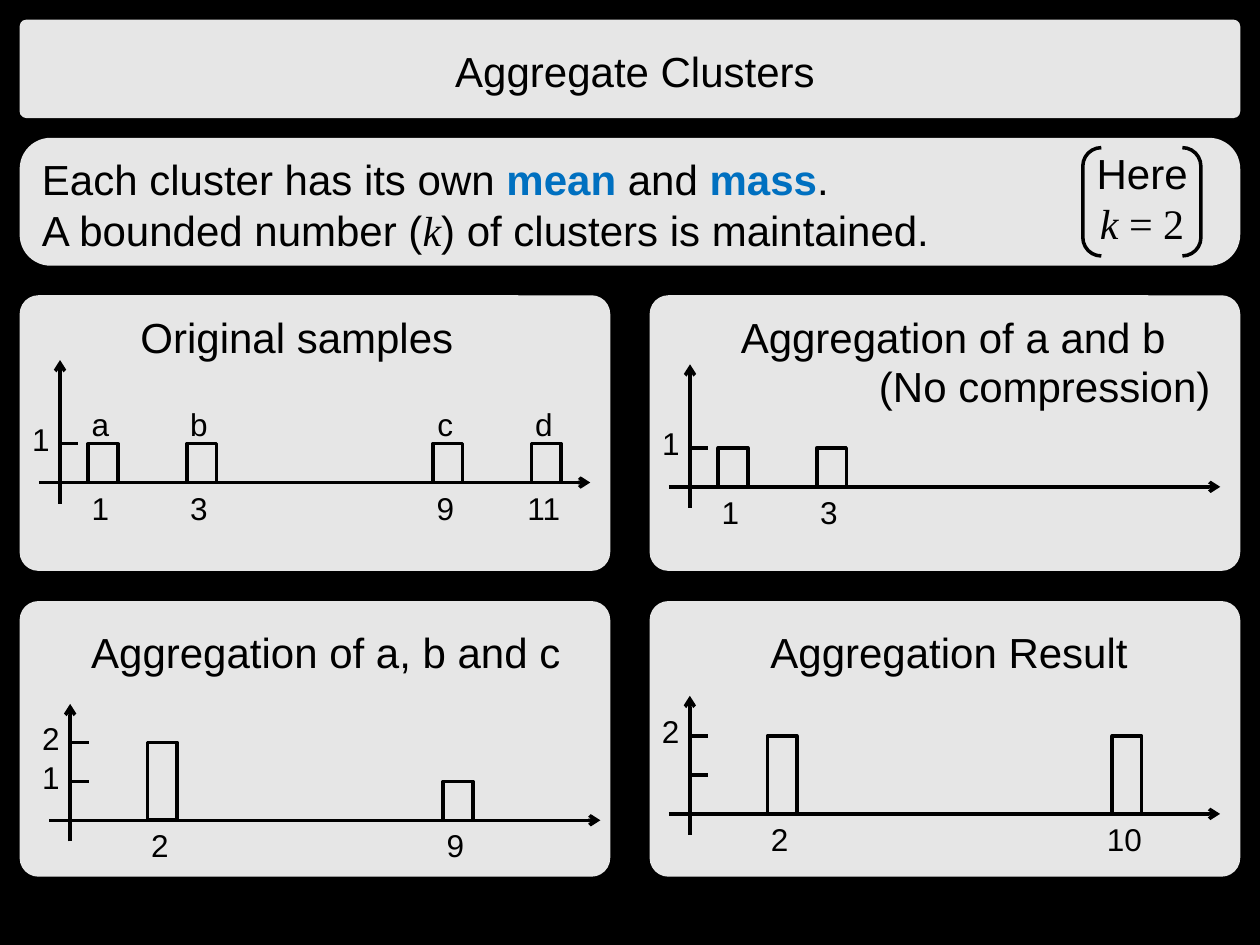
import pptx
import pptx.util
import pptx.dml.color
import pptx.enum.shapes
import pptx.enum.text
from pptx.oxml.ns import qn
from lxml import etree

Pt = pptx.util.Pt
RGBColor = pptx.dml.color.RGBColor
SHAPE = pptx.enum.shapes.MSO_SHAPE
ALIGN = pptx.enum.text.PP_ALIGN

BLACK = RGBColor(0, 0, 0)
WHITE = RGBColor(0xFF, 0xFF, 0xFF)
BLUE = RGBColor(0x00, 0x70, 0xC0)

SANS, SERIF = "Arial", "Times New Roman"
PLAIN = (SANS, BLACK, False, False)
STRONG = (SANS, BLUE, True, False)
SYMBOL = (SERIF, BLACK, False, True)
FORMULA = (SERIF, BLACK, False, False)

TITLE = [[("Aggregate Clusters", PLAIN)]]
SUMMARY = [
    [("Each cluster has its own ", PLAIN), ("mean", STRONG), (" and ", PLAIN),
     ("mass", STRONG), (".", PLAIN)],
    [("A bounded number (", PLAIN), ("k", SYMBOL),
     (") of clusters is maintained.", PLAIN)],
]
LIMIT = [[("Here", PLAIN)], [("k ", SYMBOL), ("= 2", FORMULA)]]

# headings: text, left, top, width; bars: slot on the axis, mean, mass, name
PANELS = [
    {"column": 0, "row": 0, "origin": (34.3, 275.75), "rise": 70,
     "headings": [("Original samples", 73.2, 174.3, 219)],
     "ticks": ["1"],
     "bars": [(1, "1", 1, "a"), (3, "3", 1, "b"),
              (8, "9", 1, "c"), (10, "11", 1, "d")]},
    {"column": 1, "row": 1, "origin": (394.2, 465.1), "rise": 67.5,
     "headings": [("Aggregation Result", 433.2, 354.3, 230)],
     "ticks": ["", "2"],
     "bars": [(2, "2", 2, ""), (9, "10", 2, "")]},
    {"column": 1, "row": 0, "origin": (394.3, 278.2), "rise": 70,
     "headings": [("Aggregation of a and b", 416.2, 174.3, 270),
                  ("(No compression)", 495.2, 202.4, 213)],
     "ticks": ["1"],
     "bars": [(1, "1", 1, ""), (3, "3", 1, "")]},
    {"column": 0, "row": 1, "origin": (40.1, 468.75), "rise": 66.5,
     "headings": [("Aggregation of a, b and c", 45, 354.3, 286.5)],
     "ticks": ["1", "2"],
     "bars": [(2, "2", 2, ""), (8, "9", 1, "")]},
]

MARGIN, PANEL_TOP = 11.25, 168.75
PANEL_WIDTH, PANEL_HEIGHT = 337.5, 157.5
COLUMN_STEP, ROW_STEP = 360, 174.75
SLOT, UNIT, BAR_WIDTH = 28.15, 22.25, 16.9
OVERHANG, AXIS_LENGTH, TICK = 12, 315, 10.5
LABEL_HEIGHT = 28.8


def add_shape(shapes, kind, box, rounding=None, fill=None):
    """Add a shape, either filled and translucent or outlined in black."""
    shape = shapes.add_shape(kind, *map(Pt, box))
    shape.shadow.inherit = False
    if rounding is not None:
        shape.adjustments[0] = rounding
    if fill is None:
        shape.fill.background()
        shape.line.color.rgb = BLACK
        shape.line.width = Pt(2)
    else:
        shape.fill.solid()
        shape.fill.fore_color.rgb = fill
        color = shape._element.spPr.find(".//" + qn("a:srgbClr"))
        etree.SubElement(color, qn("a:alpha"), val="90000")
        shape.line.fill.background()


def add_line(shapes, start, end, arrow=False):
    """Add a black line, with an arrowhead at its end if asked."""
    line = shapes.add_connector(pptx.enum.shapes.MSO_CONNECTOR.STRAIGHT,
                                *map(Pt, (*start, *end)))
    line.line.color.rgb = BLACK
    line.line.width = Pt(2)
    properties = line._element.spPr
    if arrow:
        etree.SubElement(properties.find(qn("a:ln")), qn("a:tailEnd"), type="arrow")
    etree.SubElement(properties, qn("a:effectLst"))


def add_text(shapes, paragraphs, box, size=24, align=ALIGN.LEFT, wrap=True):
    """Add a text box of paragraphs made of (text, style) runs."""
    frame = shapes.add_textbox(*map(Pt, box)).text_frame
    frame.word_wrap = wrap
    frame.text = "\n".join("".join(t for t, _ in runs) for runs in paragraphs)
    for paragraph, runs in zip(frame.paragraphs, paragraphs):
        paragraph.alignment = align
        paragraph.text = ""
        for text, (face, color, bold, italic) in runs:
            run = paragraph.add_run()
            run.text = text
            run.font.size = Pt(size)
            run.font.name = face
            run.font.color.rgb = color
            run.font.bold = bold
            run.font.italic = italic


def add_label(shapes, text, center, top):
    """Add a small label centred on a horizontal position."""
    width = 14.4 + 10 * len(text)
    add_text(shapes, [[(text, PLAIN)]],
             (center - width / 2, top, width, LABEL_HEIGHT),
             size=18, align=ALIGN.CENTER, wrap=False)


def add_panel(slide, panel):
    """Add one panel with its headings, axes, ticks and cluster bars."""
    shapes = slide.shapes.add_group_shape().shapes
    add_shape(shapes, SHAPE.ROUNDED_RECTANGLE,
              (MARGIN + panel["column"] * COLUMN_STEP,
               PANEL_TOP + panel["row"] * ROW_STEP,
               PANEL_WIDTH, PANEL_HEIGHT), 0.068, WHITE)
    x, y = panel["origin"]
    left = x - OVERHANG
    add_line(shapes, (left, y), (left + AXIS_LENGTH, y), arrow=True)
    add_line(shapes, (x, y + OVERHANG), (x, y - panel["rise"]), arrow=True)
    for text, *place in panel["headings"]:
        add_text(shapes, [[(text, PLAIN)]], (*place, 36))
    for level, text in enumerate(panel["ticks"], 1):
        height = y - level * UNIT
        add_line(shapes, (x, height), (x + TICK, height))
        if text:
            add_label(shapes, text, x - 11, height - 17)
    for slot, mean, mass, name in panel["bars"]:
        bar_left = left + slot * SLOT
        top = y - mass * UNIT
        add_shape(shapes, SHAPE.RECTANGLE, (bar_left, top, BAR_WIDTH, mass * UNIT))
        center = bar_left + BAR_WIDTH / 2 - 1.5
        add_label(shapes, mean, center, y)
        if name:
            add_label(shapes, name, center, top - 25.3)


def main():
    """Build the slide and save it."""
    deck = pptx.Presentation()
    deck.slide_width, deck.slide_height = Pt(720), Pt(540)
    slide = deck.slides.add_slide(deck.slide_layouts[6])
    slide.background.fill.solid()
    slide.background.fill.fore_color.rgb = BLACK
    shapes = slide.shapes
    for top, height, rounding in [(78.75, 73.1, 0.243), (11.25, 56.25, 0.068)]:
        add_shape(shapes, SHAPE.ROUNDED_RECTANGLE,
                  (MARGIN, top, 697.5, height), rounding, WHITE)
    add_text(shapes, TITLE, (16.9, 22.5, 691.9, 36), align=ALIGN.CENTER)
    add_text(shapes, SUMMARY, (16.9, 84.4, 523.4, 65))
    for panel in PANELS:
        add_panel(slide, panel)
    limit = shapes.add_group_shape().shapes
    add_text(limit, LIMIT, (613.4, 80.6, 78.5, 65), align=ALIGN.CENTER)
    add_shape(limit, SHAPE.DOUBLE_BRACKET, (618.75, 84.4, 67.5, 61.9), 0.171)
    deck.save("out.pptx")


main()
